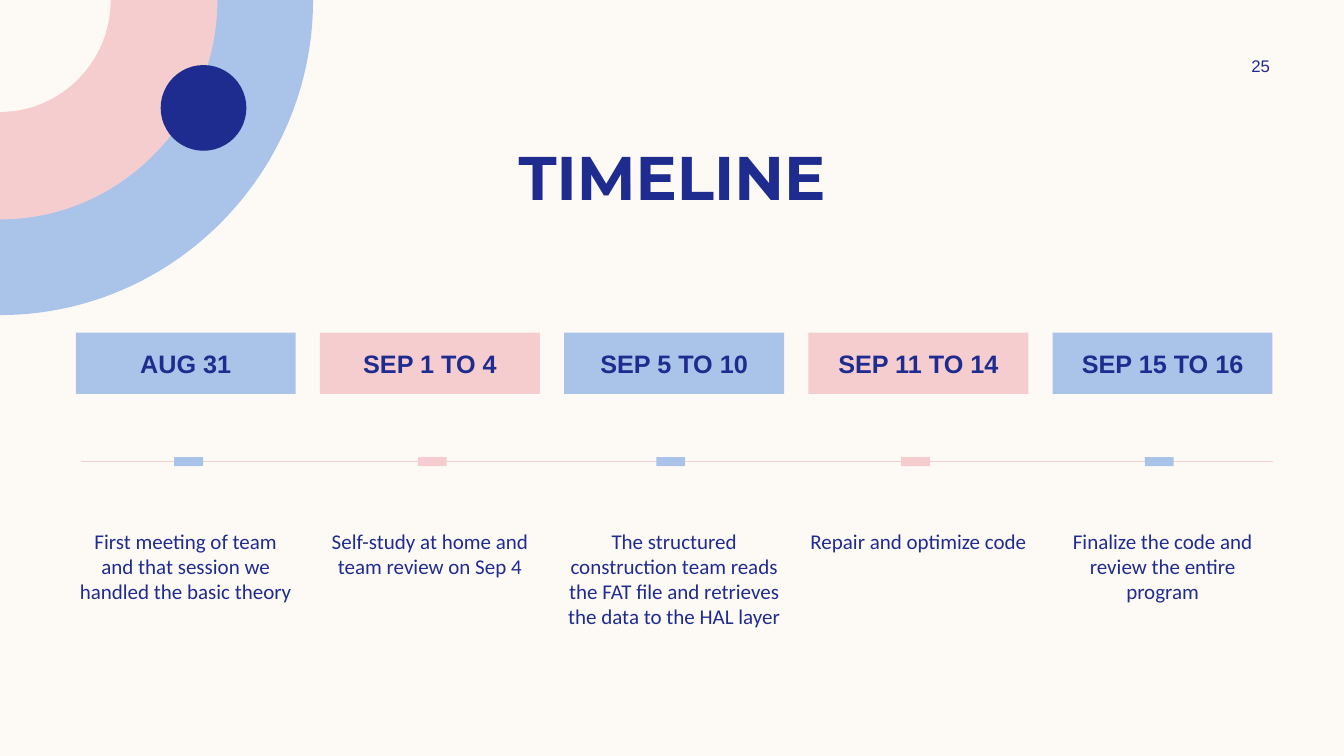
from lxml.etree import SubElement
from pptx import Presentation
from pptx.dml.color import RGBColor
from pptx.enum.shapes import MSO_CONNECTOR, MSO_SHAPE
from pptx.enum.text import MSO_ANCHOR, MSO_AUTO_SIZE, PP_ALIGN
from pptx.oxml.ns import qn
from pptx.util import Cm, Pt

COLORS = {
    "cream": "FDFAF6",
    "blue": "AAC3E8",
    "pink": "F5CDCE",
    "navy": "1F2C8F",
    "line": "F2D1D1",
}
ARC = 0.55  # Bezier handle of a quarter circle, as a share of the radius


def rgb(name):
    return RGBColor.from_string(COLORS[name])


def write(sp, text, size, font="Arial", bold=False, anchor=MSO_ANCHOR.MIDDLE,
          inset_x=0, inset_y=0):
    tf = sp.text_frame
    tf.word_wrap = True
    tf.auto_size = MSO_AUTO_SIZE.NONE
    tf.vertical_anchor = anchor
    tf.margin_left = tf.margin_right = Cm(inset_x)
    tf.margin_top = tf.margin_bottom = Cm(inset_y)
    for i, line in enumerate(text.split("\n")):
        p = tf.add_paragraph() if i else tf.paragraphs[0]
        p.alignment = PP_ALIGN.CENTER
        r = p.add_run()
        r.text = line
        r.font.name = font
        r.font.size = Pt(size)
        r.font.bold = bold
        r.font.color.rgb = rgb("navy")


prs = Presentation()
prs.slide_width, prs.slide_height = Cm(33.87), Cm(19.05)
s = prs.slides.add_slide(prs.slide_layouts[5])
s.background.fill.solid()
s.background.fill.fore_color.rgb = rgb("cream")

# Quarter discs around the top left corner, largest first
filled = []
for rx, ry, color in ((7.89, 7.94, "blue"), (5.48, 5.53, "pink"), (2.79, 2.82, "cream")):
    builder = s.shapes.build_freeform(0, 0)
    corners = [(rx, 0), (rx, ry * ARC), (rx * ARC, ry), (0, ry)]
    builder.add_line_segments([(Cm(x), Cm(y)) for x, y in corners], close=True)
    disc = builder.convert_to_shape()
    # The last three segments become one curve
    path = next(disc._element.iter(qn("a:path")))
    segments = path.findall(qn("a:lnTo"))[1:4]
    curve = SubElement(path, qn("a:cubicBezTo"))
    segments[0].addprevious(curve)
    for segment in segments:
        curve.append(segment[0])
        path.remove(segment)
    filled.append((disc, color))

dot = s.shapes.add_shape(MSO_SHAPE.OVAL, Cm(4.05), Cm(1.64), Cm(2.16), Cm(2.16))
filled.append((dot, "navy"))

axis = s.shapes.add_connector(MSO_CONNECTOR.STRAIGHT,
                              Cm(2.05), Cm(11.63), Cm(32.08), Cm(11.63))
axis.line.color.rgb = rgb("line")
axis.line.width = Pt(1)
SubElement(axis._element.spPr, qn("a:effectLst"))

title = s.shapes.title
title.left, title.top, title.width, title.height = Cm(2.12), Cm(3.36), Cm(29.64), Cm(2.13)
write(title, "TIMELINE", 44, font="Montserrat", bold=True, inset_x=0.25, inset_y=0.13)

number = s.shapes.add_textbox(Cm(30.4), Cm(1.27), Cm(2.74), Cm(0.76))
write(number, "25", 12)

# Date, left edge of the marker, description
steps = [
    ("AUG 31", 4.39,
     "First meeting of team\nand that session we handled the basic theory"),
    ("SEP 1 TO 4", 10.53, "Self-study at home and team review on Sep 4"),
    ("SEP 5 TO 10", 16.54,
     "The structured construction team reads\n"
     "the FAT file and retrieves the data to the HAL layer"),
    ("SEP 11 TO 14", 22.71, "Repair and optimize code"),
    ("SEP 15 TO 16", 28.85, "Finalize the code and review the entire program"),
]
for i, (date, marker_left, description) in enumerate(steps):
    left = Cm(1.91 + 6.155 * i)
    width = Cm(5.54)
    color = ("blue", "pink")[i % 2]

    card = s.shapes.add_shape(MSO_SHAPE.RECTANGLE, left, Cm(8.38), width, Cm(1.55))
    write(card, date, 18, bold=True)
    marker = s.shapes.add_shape(MSO_SHAPE.RECTANGLE, Cm(marker_left), Cm(11.52),
                                Cm(0.73), Cm(0.23))
    filled += [(card, color), (marker, color)]

    body = s.shapes.add_textbox(left, Cm(13.18), width, Cm(2.21))
    write(body, description, 15, font="Calibri", anchor=MSO_ANCHOR.TOP, inset_y=0.13)

for sp, color in filled:
    sp.shadow.inherit = False
    sp.fill.solid()
    sp.fill.fore_color.rgb = rgb(color)
    sp.line.fill.background()

prs.save("out.pptx")
